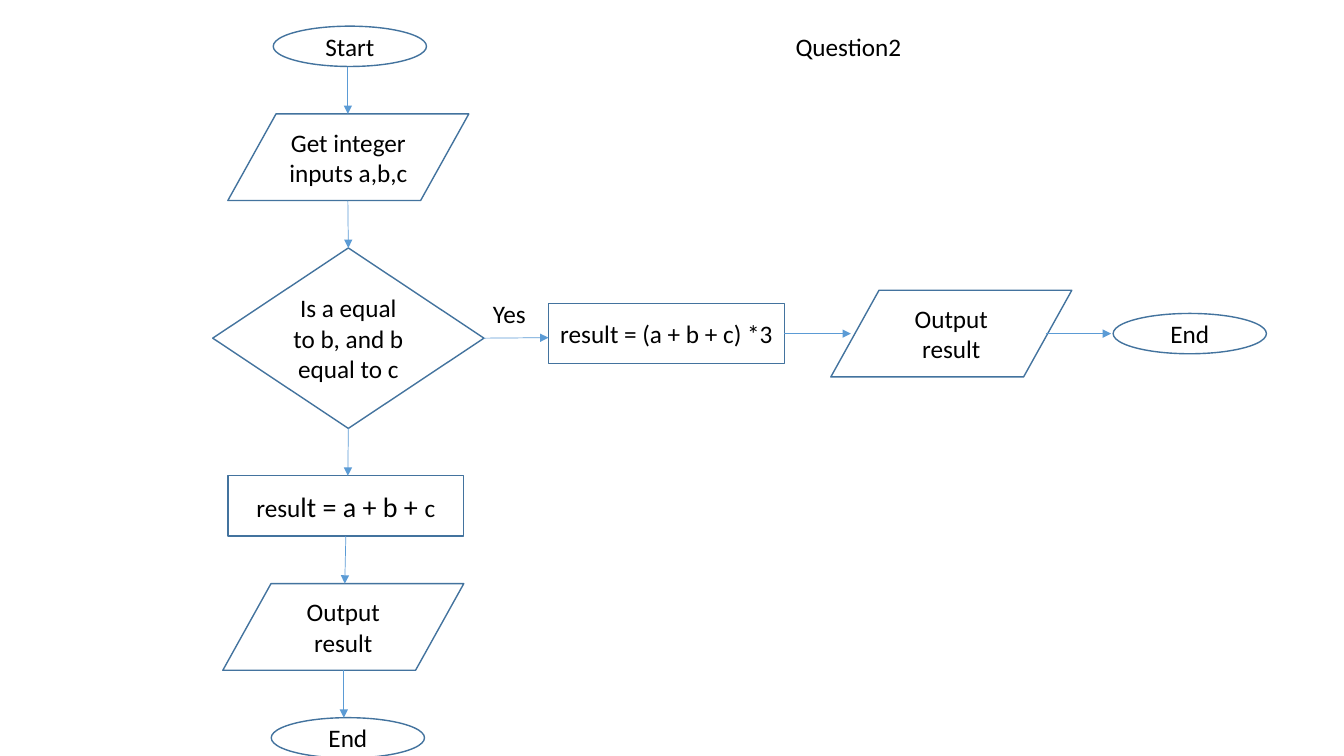
from lxml import etree
from pptx import Presentation
from pptx import util as u
from pptx.dml.color import RGBColor
from pptx.enum import shapes, text
from pptx.oxml.ns import qn

PX = 9144  # 100 px to the inch
FONT = "Calibri"
COLORS = {"fill": "FFFFFF", "outline": "43739E", "arrow": "5B9BD5", "text": "000000"}
KIND = shapes.MSO_SHAPE
TERMINAL = (KIND.OVAL, 152, 40)
DATA = (KIND.FLOWCHART_DATA, 239, 86)
DECISION = (KIND.FLOWCHART_DECISION, 269, 179)
PROCESS = (KIND.RECTANGLE, 234, 60)
TOP, BOTTOM, RIGHT = 0, 2, 3


def px(*values):
    return [u.Emu(v * PX) for v in values]


def rgb(name):
    return RGBColor.from_string(COLORS[name])


def set_font(font, size=18):
    font.name, font.size = FONT, u.Pt(size)
    font.color.rgb = rgb("text")


def add_node(s, node, x, y, runs):
    """Place a flowchart symbol; runs holds (wording, size) pairs."""
    kind, w, h = node
    sp = s.shapes.add_shape(kind, *px(x, y, w, h))
    sp.shadow.inherit = False
    sp.fill.solid()
    sp.fill.fore_color.rgb = rgb("fill")
    sp.line.color.rgb = rgb("outline")
    sp.line.width = u.Pt(1)
    p = sp.text_frame.paragraphs[0]
    p.alignment = text.PP_ALIGN.CENTER
    set_font(p.font)
    for wording, size in runs:
        r = p.add_run()
        r.text = wording
        set_font(r.font, size)
    return sp


def add_arrow(s, x1, y1, x2, y2, begin=None, end=None):
    """Draw an arrow; begin and end are (shape, side) joins."""
    c = s.shapes.add_connector(shapes.MSO_CONNECTOR.STRAIGHT, *px(x1, y1, x2, y2))
    if begin:
        c.begin_connect(*begin)
    if end:
        c.end_connect(*end)
    c.line.color.rgb = rgb("arrow")
    c.line.width = u.Pt(0.5)
    etree.SubElement(c.line._get_or_add_ln(), qn("a:tailEnd"), type="triangle")
    etree.SubElement(c._element.spPr, qn("a:effectLst"))


def add_title(s, x, y, w, h):
    title = s.shapes.title
    title.left, title.top, title.width, title.height = px(x, y, w, h)
    tf = title.text_frame
    tf.text = "Question2"
    tf.word_wrap = True
    tf.auto_size = text.MSO_AUTO_SIZE.NONE
    tf.vertical_anchor = text.MSO_ANCHOR.TOP
    p = tf.paragraphs[0]
    p.alignment = text.PP_ALIGN.LEFT
    set_font(p.font)


def add_main_flow(s, x, y):
    """Stack the steps from Start to End and return the decision."""
    gap = 47
    steps = [  # symbol, left, wording, x of the arrow below
        (TERMINAL, 60, [("Start", 18)], 134),
        (DATA, 15, [("Get integer inputs a,b,c", 18)], 134),
        (DECISION, 0, [("Is a equal to b, and b equal to c", 18)], 134),
        (PROCESS, 15, [("resu", 18), ("lt = a + b + ", 20), ("c", 18)], 131),
        (DATA, 10, [("Output result", 18)], 130),
        (TERMINAL, 58, [("End", 18)], None),
    ]
    previous = decision = None
    for node, left, runs, arrow_x in steps:
        sp = add_node(s, node, x + left, y, runs)
        if previous:
            symbol, above, from_x = previous
            begin = (above, BOTTOM) if symbol in (DECISION, PROCESS) else None
            end = (sp, TOP) if node == DECISION else None
            add_arrow(s, x + from_x, y - gap, x + from_x, y, begin, end)
        if node == DECISION:
            decision = sp
        previous = node, sp, arrow_x
        y += node[2] + gap
    return decision


def add_yes_branch(s, x, middle, decision):
    """Run the Yes steps to the right, centred on the middle line."""
    length = 65
    label = s.shapes.add_textbox(*px(x, middle - 40, length, 40))
    tf = label.text_frame
    tf.word_wrap = True
    tf.text = "Yes"
    set_font(tf.paragraphs[0].font)
    steps = [
        (PROCESS, 65, "result = (a + b + c) *3"),
        (DATA, 345, "Output result"),
        (TERMINAL, 625, "End"),
    ]
    process, *_ = [add_node(s, node, x + left, middle - node[2] // 2, [(wording, 18)])
                   for node, left, wording in steps]
    arrows = [(0, 4, (decision, RIGHT)), (300, 0, (process, RIGHT)), (558, 0, None)]
    for left, drop, begin in arrows:
        y = middle + drop
        add_arrow(s, x + left, y, x + left + length, y, begin)


def main():
    prs = Presentation()
    prs.slide_width, prs.slide_height = px(1333, 750)
    s = prs.slides.add_slide(prs.slide_layouts[5])
    add_title(s, 779, 26, 330, 40)
    decision = add_main_flow(s, 211, 26)
    add_yes_branch(s, 479, 331, decision)
    prs.save("out.pptx")


if __name__ == "__main__":
    main()
